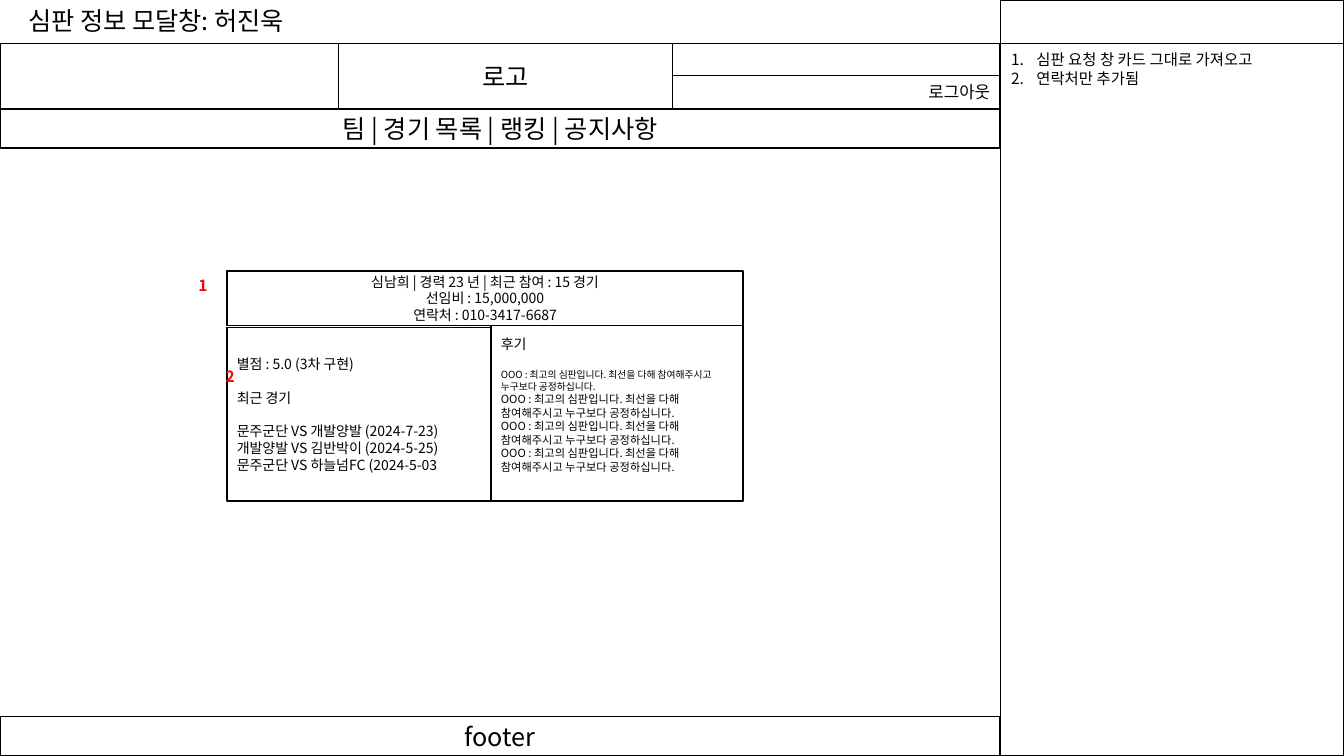
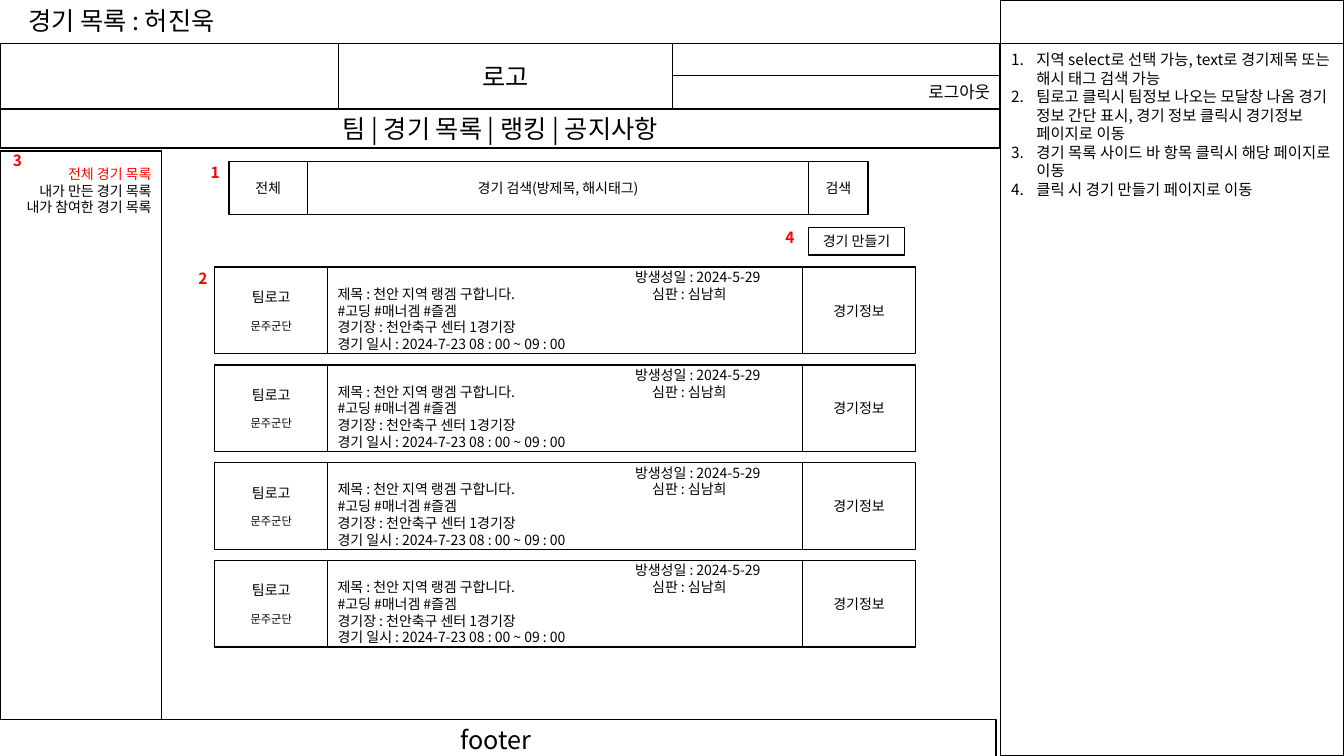
from lxml import etree
from pptx import Presentation
from pptx.dml.color import RGBColor
from pptx.enum.shapes import MSO_SHAPE
from pptx.enum.text import MSO_ANCHOR, MSO_AUTO_SIZE, PP_ALIGN
from pptx.oxml.ns import qn
from pptx.util import Inches, Pt

RECTANGLE = MSO_SHAPE.RECTANGLE
TOP, MIDDLE = MSO_ANCHOR.TOP, MSO_ANCHOR.MIDDLE
LEFT, CENTER, RIGHT = PP_ALIGN.LEFT, PP_ALIGN.CENTER, PP_ALIGN.RIGHT
NO_AUTOFIT = MSO_AUTO_SIZE.NONE

FONT = "Noto Sans CJK KR"
BLACK, WHITE, RED = "000000", "FFFFFF", "FF0000"
LINE_RATIO = 1.2
SLIDE_WIDTH, SLIDE_HEIGHT = 13.33, 7.5
PAGE_WIDTH = 9.92
NOTES_WIDTH = SLIDE_WIDTH - PAGE_WIDTH
HEADER_TOP, NAV_TOP, BAR_HEIGHT = 0.43, 1.08, 0.39
LOGO_LEFT, LOGO_WIDTH = 3.36, 3.31
ACCOUNT_LEFT, ACCOUNT_TOP = LOGO_LEFT + LOGO_WIDTH, 0.75

FRAME = [
    ((PAGE_WIDTH, HEADER_TOP, NOTES_WIDTH, SLIDE_HEIGHT - HEADER_TOP), "", 12, CENTER),
    ((PAGE_WIDTH, 0, NOTES_WIDTH, HEADER_TOP), "", 12, CENTER),
    ((0, HEADER_TOP, PAGE_WIDTH, NAV_TOP - HEADER_TOP), "", 12, CENTER),
    ((LOGO_LEFT, HEADER_TOP, LOGO_WIDTH, NAV_TOP - HEADER_TOP), "로고", 18, CENTER),
    ((0, NAV_TOP, PAGE_WIDTH, BAR_HEIGHT), "팀 | 경기 목록 | 랭킹 | 공지사항", 18, CENTER),
    ((ACCOUNT_LEFT, ACCOUNT_TOP, PAGE_WIDTH - ACCOUNT_LEFT, NAV_TOP - ACCOUNT_TOP),
     "로그아웃", 12, RIGHT),
]

REFEREE_TITLE = "심판 정보 모달창: 허진욱"
REFEREE_NOTES = ["심판 요청 창 카드 그대로 가져오고", "연락처만 추가됨"]
REFEREE_PROFILE = ["심남희 | 경력 23 년 | 최근 참여 : 15 경기", "선임비 : 15,000,000",
                   "연락처 : 010-3417-6687"]
REFEREE_RECORD = [
    {"text": "별점 : 5.0 (3차 구현)"},
    {"text": "최근 경기", "before": 12},
    {"text": "문주군단 VS 개발양발 (2024-7-23)", "before": 12},
    {"text": "개발양발 VS 김반박이 (2024-5-25)"},
    {"text": "문주군단 VS 하늘넘FC (2024-5-03"},
]
REVIEW = "OOO : 최고의 심판입니다. 최선을 다해 참여해주시고 누구보다 공정하십니다."
REVIEWS = [
    {"text": "후기"},
    {"text": REVIEW, "size": 7, "before": 12},
    *[{"text": REVIEW, "size": 8}] * 3,
]
REFEREE_MARKERS = [("1", 1.87, 2.69), ("2", 2.14, 3.59)]

MATCH_TITLE = "경기 목록 : 허진욱"
MATCH_NOTES = [
    "지역 select로 선택 가능, text로 경기제목 또는 해시 태그 검색 가능",
    "팀로고 클릭시 팀정보 나오는 모달창 나옴 경기 정보 간단 표시, 경기 정보 클릭시 경기정보 페이지로 이동",
    "경기 목록 사이드 바 항목 클릭시 해당 페이지로 이동",
    "클릭 시 경기 만들기 페이지로 이동",
]
SIDEBAR = [
    {"text": "전체 경기 목록", "color": RED},
    {"text": "내가 만든 경기 목록"},
    {"text": "내가 참여한 경기 목록"},
]
SEARCH_LEFT, SEARCH_TOP, SEARCH_HEIGHT = 2.27, 1.6, 0.53
SEARCH_BAR = [("전체", 0.78), ("경기 검색(방제목, 해시태그)", 4.97), ("검색", 0.59)]
TEAM = [{"text": "팀로고"}, {"text": "문주군단", "size": 8, "before": 9.6}]
MATCH = [
    {"text": "\t방생성일 : 2024-5-29", "tab": 2.95},
    {"text": "제목 : 천안 지역 랭겜 구합니다.\t심판 : 심남희", "tab": 3.12},
    {"text": "#고딩 #매너겜 #즐겜"},
    {"text": "경기장 : 천안축구 센터 1경기장"},
    {"text": "경기 일시 : 2024-7-23 08 : 00 ~ 09 : 00"},
]
MATCH_ROW = [(TEAM, 1.12, CENTER), (MATCH, 4.71, LEFT), ([{"text": "경기정보"}], 1.12, CENTER)]
MATCH_COUNT, MATCH_LEFT, MATCH_TOP, MATCH_PITCH, MATCH_HEIGHT = 4, 2.13, 2.65, 0.97, 0.86
MATCH_MARKERS = [("3", 0.03, 1.45), ("1", 1.99, 1.57), ("2", 1.87, 2.62), ("4", 7.69, 2.21)]


def rgb(value):
    return RGBColor.from_string(value)


def add_numbering(properties):
    properties.set("marL", str(Inches(0.25)))
    properties.set("indent", str(Inches(-0.25)))
    etree.SubElement(properties, qn("a:buFont"), typeface=FONT)
    etree.SubElement(properties, qn("a:buAutoNum"), type="arabicPeriod")


def add_tab_stop(properties, position):
    stops = etree.SubElement(properties, qn("a:tabLst"))
    etree.SubElement(stops, qn("a:tab"), pos=str(Inches(position)), algn="l")


def write(shape, items, size=10, align=LEFT, anchor=MIDDLE, top_inset=0.05,
          color=BLACK, bold=False, numbered=False):
    frame = shape.text_frame
    frame.word_wrap = True
    frame.auto_size = NO_AUTOFIT
    frame.vertical_anchor = anchor
    frame.margin_left = frame.margin_right = Inches(0.1)
    frame.margin_top, frame.margin_bottom = Inches(top_inset), Inches(0.05)
    for index, item in enumerate(items):
        paragraph = frame.add_paragraph() if index else frame.paragraphs[0]
        points = item.get("size", size)
        paragraph.alignment = align
        paragraph.line_spacing = Pt(points * LINE_RATIO)
        paragraph.space_before = Pt(item.get("before", 0))
        properties = paragraph._p.get_or_add_pPr()
        if numbered:
            add_numbering(properties)
        if "tab" in item:
            add_tab_stop(properties, item["tab"])
        run = paragraph.add_run()
        run.text = item["text"]
        run.font.size = Pt(points)
        run.font.bold = bold
        run.font.color.rgb = rgb(item.get("color", color))
        run.font.name = FONT
        etree.SubElement(run.font._element, qn("a:ea"), typeface=FONT)


def lines(*texts):
    return [{"text": text} for text in texts]


def add_box(slide, place, items=(), **style):
    shape = slide.shapes.add_shape(RECTANGLE, *map(Inches, place))
    shape.shadow.inherit = False
    shape.fill.solid()
    shape.fill.fore_color.rgb = rgb(WHITE)
    shape.line.color.rgb = rgb(BLACK)
    shape.line.width = Pt(1)
    write(shape, items, **style)
    return shape


def add_text(slide, place, items, **style):
    write(slide.shapes.add_textbox(*map(Inches, place)), items, anchor=TOP, **style)


def add_row(slide, left, top, height, cells):
    for items, width, align in cells:
        add_box(slide, (left, top, width, height), items, align=align)
        left += width


def add_frame(slide, layout):
    for place, text, size, align in FRAME:
        box = add_box(slide, place, lines(text) if text else (), size=size, align=align)
        layout.shapes.element.append(box.element)


def add_page(slide, title, notes, footer_left, footer_top):
    heading = slide.shapes.title
    heading.left, heading.top, heading.width, heading.height = map(Inches, (0.18, 0, 4.65, 0.4))
    write(heading, lines(title), size=18, anchor=TOP)
    add_box(slide, (footer_left, footer_top, PAGE_WIDTH, BAR_HEIGHT), lines("footer"),
            size=18, align=CENTER)
    add_text(slide, (9.93, 0.45, 3.38, 1.58), lines(*notes), size=11, numbered=True)


def add_markers(slide, markers):
    for number, left, top in markers:
        add_text(slide, (left, top, 0.38, 0.29), lines(number), size=11, color=RED, bold=True)


def build_referee(slide):
    add_page(slide, REFEREE_TITLE, REFEREE_NOTES, 0, SLIDE_HEIGHT - BAR_HEIGHT)
    add_box(slide, (2.25, 2.69, 5.12, 0.54), lines(*REFEREE_PROFILE), align=CENTER)
    add_box(slide, (2.25, 3.25, 2.62, 1.72), REFEREE_RECORD)
    add_box(slide, (4.87, 3.23, 2.5, 1.74), REVIEWS, anchor=TOP, top_inset=0.1)
    add_markers(slide, REFEREE_MARKERS)


def build_matches(slide):
    add_page(slide, MATCH_TITLE, MATCH_NOTES, -0.04, 7.14)
    add_box(slide, (0, 1.5, 1.6, 5.64), SIDEBAR, align=RIGHT, anchor=TOP, top_inset=0.14)
    add_row(slide, SEARCH_LEFT, SEARCH_TOP, SEARCH_HEIGHT,
            [(lines(text), width, CENTER) for text, width in SEARCH_BAR])
    add_box(slide, (8.02, 2.26, 0.95, 0.27), lines("경기 만들기"), align=CENTER)
    for index in range(MATCH_COUNT):
        add_row(slide, MATCH_LEFT, MATCH_TOP + index * MATCH_PITCH, MATCH_HEIGHT, MATCH_ROW)
    add_markers(slide, MATCH_MARKERS)


def main():
    presentation = Presentation()
    presentation.slide_width = Inches(SLIDE_WIDTH)
    presentation.slide_height = Inches(SLIDE_HEIGHT)
    layout = presentation.slide_layouts[5]
    referee_slide = presentation.slides.add_slide(layout)
    add_frame(referee_slide, layout)
    build_referee(referee_slide)
    build_matches(presentation.slides.add_slide(layout))
    presentation.save("out.pptx")


if __name__ == "__main__":
    main()
